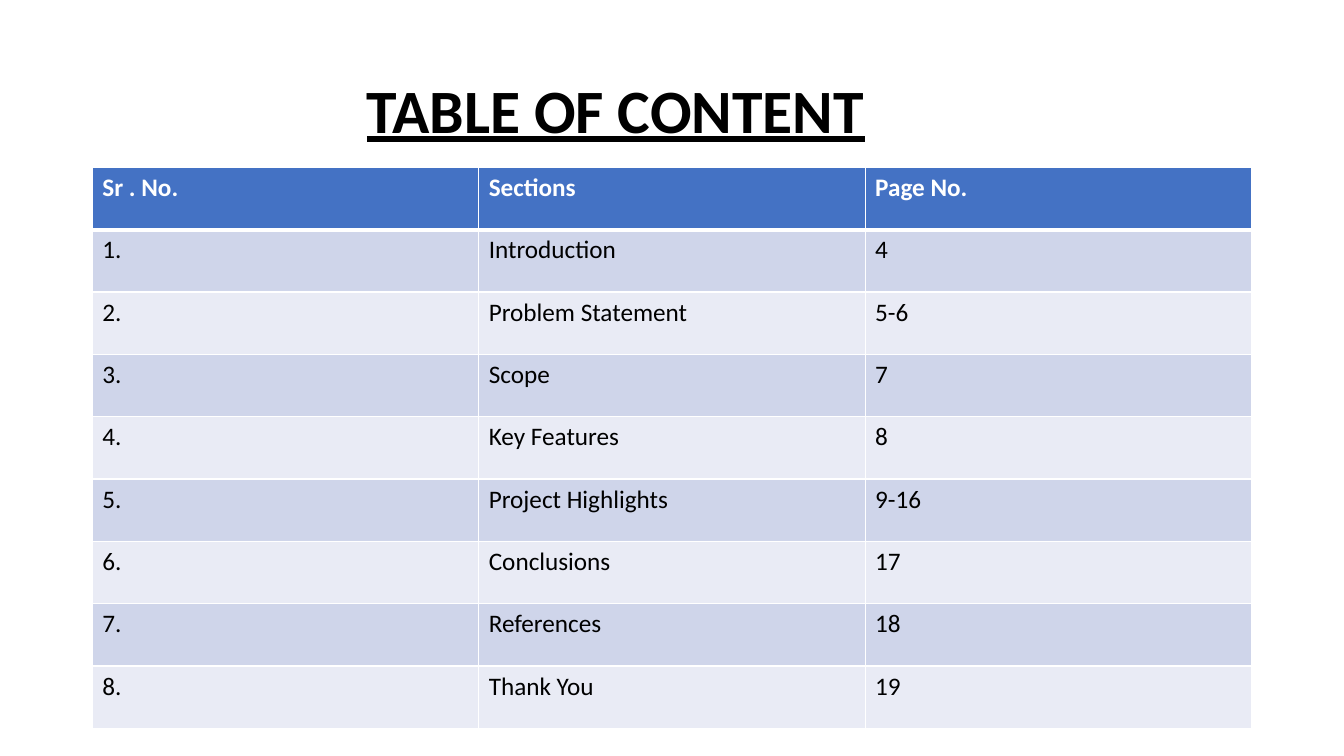
from pptx import Presentation
from pptx.dml.color import RGBColor
from pptx.enum.text import MSO_ANCHOR, MSO_AUTO_SIZE, PP_ALIGN
from pptx.oxml.ns import qn
from pptx.util import Pt
from lxml.etree import SubElement

FONT = "Calibri"
WHITE, BLACK, BLUE = "FFFFFF", "000000", "4472C4"
BANDS = ("CFD5EA", "E9EBF5")
HEADER = ("Sr . No.", "Sections", "Page No.")
SECTIONS = (
    ("Introduction", "4"),
    ("Problem Statement", "5-6"),
    ("Scope", "7"),
    ("Key Features", "8"),
    ("Project Highlights", "9-16"),
    ("Conclusions", "17"),
    ("References", "18"),
    ("Thank You", "19"),
)


def rgb(value):
    """Return the colour for a hex string."""
    return RGBColor.from_string(value)


def style_run(r, size, color, bold):
    """Set the font of a run."""
    r.font.name, r.font.size, r.font.bold = FONT, Pt(size), bold
    r.font.color.rgb = rgb(color)


def set_borders(cell, bottom, top):
    """Draw white cell borders, one point wide at the sides."""
    tcPr = cell._tc.get_or_add_tcPr()
    widths = {"a:lnL": 1, "a:lnR": 1, "a:lnT": top, "a:lnB": bottom}
    for i, (tag, width) in enumerate(widths.items()):
        ln = SubElement(tcPr, qn(tag), w=str(Pt(width)))
        SubElement(SubElement(ln, qn("a:solidFill")), qn("a:srgbClr"), val=WHITE)
        tcPr.insert(i, ln)


def add_title(s, x, y, w, h, indent):
    """Place the underlined heading in its box."""
    sp = s.shapes.title
    sp.left, sp.top, sp.width, sp.height = Pt(x), Pt(y), Pt(w), Pt(h)
    tf = sp.text_frame
    tf.text = "TABLE OF CONTENT"
    tf.word_wrap, tf.auto_size = True, MSO_AUTO_SIZE.NONE
    tf.vertical_anchor = MSO_ANCHOR.MIDDLE
    tf.margin_left = Pt(indent)
    p = tf.paragraphs[0]
    p.alignment, p.line_spacing = PP_ALIGN.LEFT, 0.9
    r = p.runs[0]
    style_run(r, 44, BLACK, True)
    r.font.underline = True


def add_contents(s, x, y, w, h):
    """Fill the box with the banded table of sections."""
    rows = [HEADER] + [(f"{n}.", *row) for n, row in enumerate(SECTIONS, 1)]
    table = s.shapes.add_table(
        len(rows), len(HEADER), Pt(x), Pt(y), Pt(w), Pt(h)).table
    for i, row in enumerate(rows):
        head = i == 0
        for j, text in enumerate(row):
            cell = table.cell(i, j)
            cell.text = text
            cell.fill.solid()
            cell.fill.fore_color.rgb = rgb(BLUE if head else BANDS[(i - 1) % 2])
            set_borders(cell, 3 if head else 1, 3 if i == 1 else 1)
            r = cell.text_frame.paragraphs[0].runs[0]
            style_run(r, 18, WHITE if head else BLACK, head)


def main():
    """Build and save the slide."""
    prs = Presentation()
    prs.slide_width, prs.slide_height = Pt(960), Pt(540)
    s = prs.slides.add_slide(prs.slide_layouts[5])
    add_title(s, 66, 28.75, 828, 104.4, 196)
    add_contents(s, 66, 119.5, 828, 401)
    prs.save("out.pptx")


if __name__ == "__main__":
    main()
